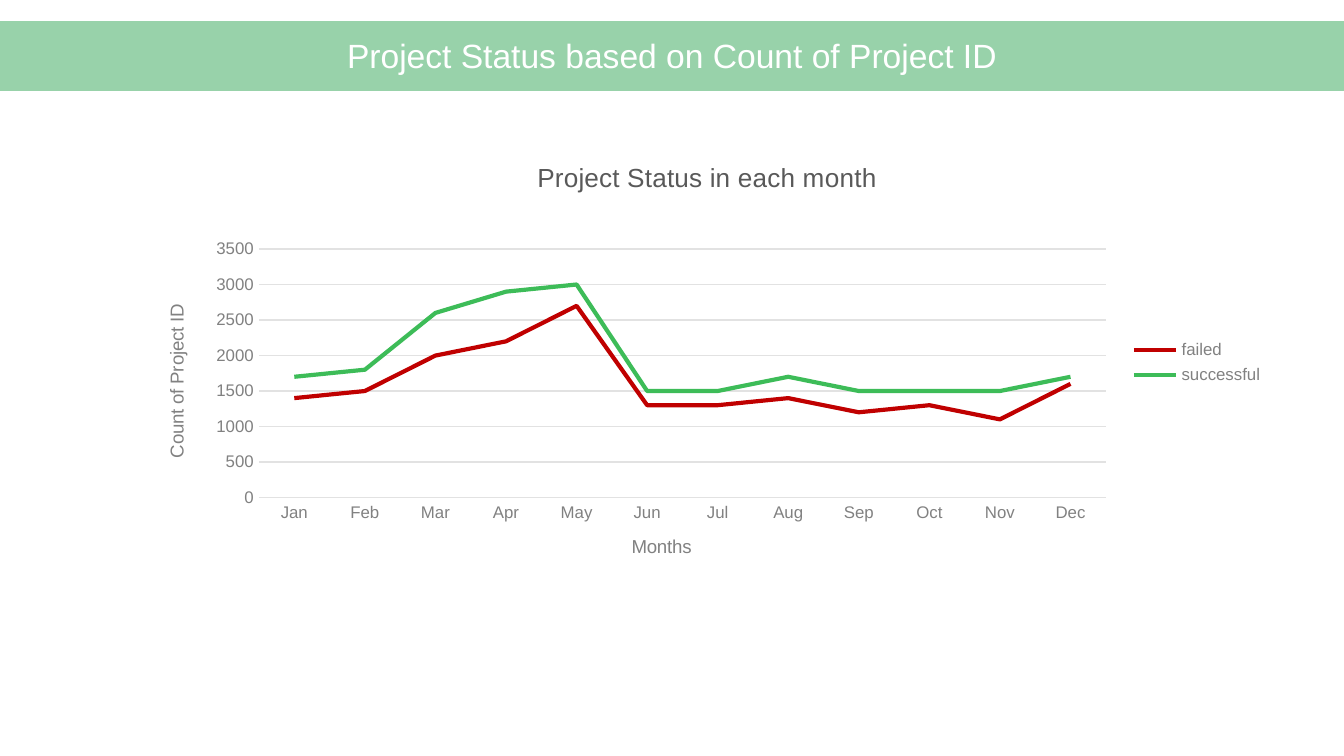
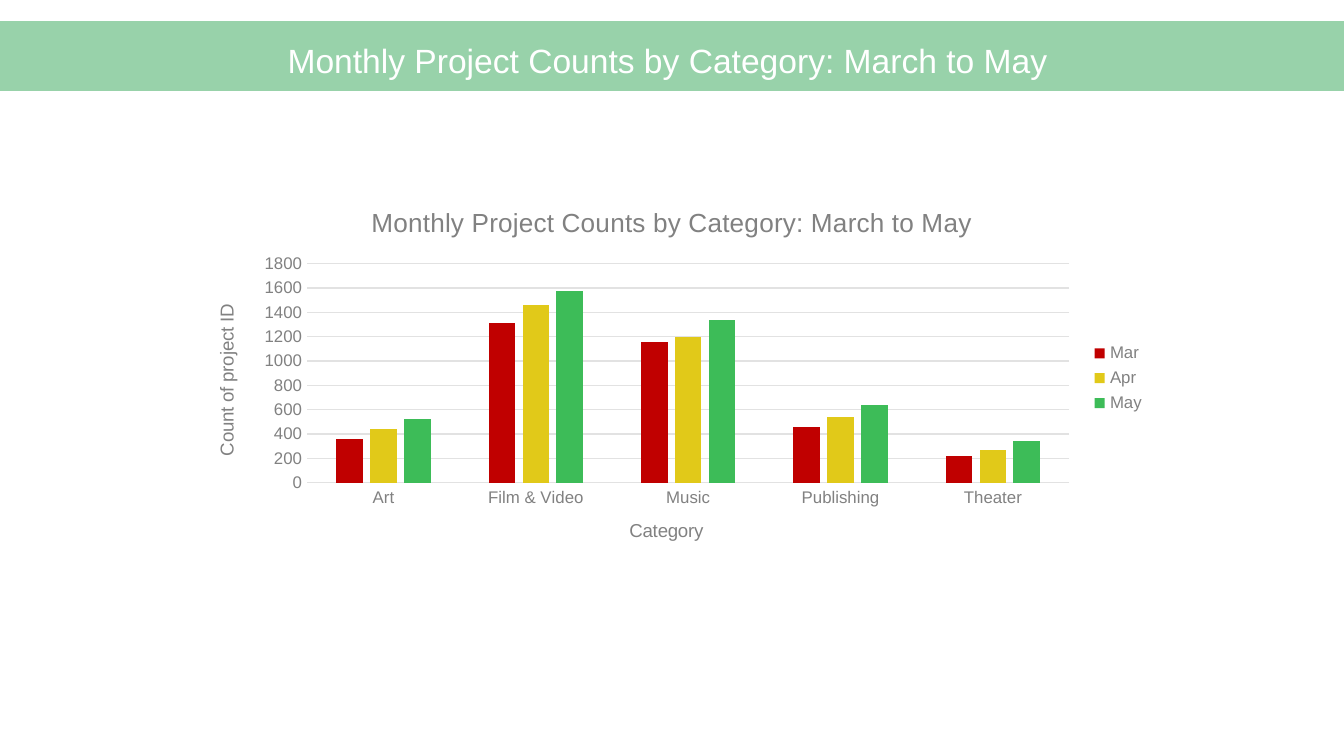
import pptx
import pptx.chart.data
import pptx.dml.color
import pptx.enum.chart
import pptx.enum.shapes
import pptx.enum.text
import pptx.oxml
import pptx.oxml.ns
import pptx.util

Inches, Pt = pptx.util.Inches, pptx.util.Pt
Align = pptx.enum.text.PP_ALIGN
ChartType = pptx.enum.chart.XL_CHART_TYPE
rgb = pptx.dml.color.RGBColor.from_string

# Theme: colours and type styles
RED, YELLOW, GREEN = rgb("C00000"), rgb("E1C919"), rgb("3DBC58")
THEME = {
    "band": rgb("98D2AA"),
    "grid": rgb("E2E2E2"),
    "heading": {"name": "Arial", "size": Pt(18), "bold": False, "color": rgb("FFFFFF")},
    "chart": {"name": "Arial", "size": Pt(10), "bold": False, "color": rgb("3D3D3D")},
    "chart_title": {"name": "Arial", "size": Pt(14), "bold": False, "color": rgb("818181")},
    "axis_title": {"name": "Arial", "size": Pt(10), "bold": False, "color": rgb("818181")},
    "label": {"name": "Arial", "size": Pt(9), "bold": False, "color": rgb("818181")},
}
DARK_TITLE = {**THEME["chart_title"], "color": rgb("595959")}

# Content: "places" holds percentages of the chart area
SLIDES = [
    {
        "heading": "Project Status based on Count of Project ID",
        "heading_box": (2.35, 0.21, 5.3, 0.4),
        "align": Align.CENTER,
        "type": ChartType.LINE,
        "chart_box": (1.02, 1.04, 8.48, 3.32),
        "title": "Project Status in each month",
        "title_style": DARK_TITLE,
        "axis_titles": ("Months", "Count of Project ID"),
        "scale": (3500, 500),
        "categories": ["Jan", "Feb", "Mar", "Apr", "May", "Jun",
                       "Jul", "Aug", "Sep", "Oct", "Nov", "Dec"],
        "series": [
            ("failed", RED, [1400, 1500, 2000, 2200, 2700, 1300,
                             1300, 1400, 1200, 1300, 1100, 1600]),
            ("successful", GREEN, [1700, 1800, 2600, 2900, 3000, 1500,
                                   1500, 1700, 1500, 1500, 1500, 1700]),
        ],
        "places": {"plot": (10.7, 24.5, 74.3, 55.7), "title": (34.7, 3.7),
                   "months": (43.1, 87.7), "count": (2.1, 36.1)},
    },
    {
        "heading": "Monthly Project Counts by Category: March to May",
        "heading_box": (2.04, 0.25, 5.92, 0.4),
        "align": Align.LEFT,
        "type": ChartType.COLUMN_CLUSTERED,
        "chart_box": (1.39, 1.39, 7.23, 2.85),
        "title": "Monthly Project Counts by Category: March to May",
        "title_style": THEME["chart_title"],
        "axis_titles": ("Category", "Count of project ID"),
        "scale": (1800, 200),
        "categories": ["Art", "Film & Video", "Music", "Publishing", "Theater"],
        "series": [
            ("Mar", RED, [360, 1310, 1160, 460, 220]),
            ("Apr", YELLOW, [440, 1460, 1200, 540, 270]),
            ("May", GREEN, [520, 1580, 1340, 640, 340]),
        ],
        "places": {"plot": (12.4, 20.1, 78.4, 57.2), "title": (18.5, 3.7),
                   "months": (45.2, 85.7), "count": (2.5, 29.8)},
    },
]


def apply_font(font, style):
    for key, value in style.items():
        if key == "color":
            font.color.rgb = value
        else:
            setattr(font, key, value)


def place(element, percentages):
    """Give a chart title or plot area a manual layout."""
    qn = pptx.oxml.ns.qn
    for old in element.findall(qn("c:layout")):
        element.remove(old)
    is_plot = len(percentages) == 4
    values = '<c:layoutTarget val="inner"/>' if is_plot else ""
    values += '<c:xMode val="edge"/><c:yMode val="edge"/>'
    for key, value in zip("xywh", percentages):
        values += f'<c:{key} val="{value / 100:.3f}"/>'
    layout = pptx.oxml.parse_xml(
        f'<c:layout {pptx.oxml.ns.nsdecls("c")}><c:manualLayout>{values}</c:manualLayout></c:layout>')
    element.insert(0 if is_plot else 1, layout)


# Widescreen deck, 16:9
deck = pptx.Presentation()
deck.slide_width = Inches(10)
deck.slide_height = deck.slide_width * 9 // 16

for content in SLIDES:
    slide = deck.slides.add_slide(deck.slide_layouts[5])
    places = content["places"]

    # Chart data
    counts = pptx.chart.data.CategoryChartData()
    counts.categories = content["categories"]
    for name, color, values in content["series"]:
        counts.add_series(name, values)
    chart = slide.shapes.add_chart(
        content["type"], *map(Inches, content["chart_box"]), counts).chart
    apply_font(chart.font, THEME["chart"])

    # Legend
    chart.has_legend = True
    chart.legend.position = pptx.enum.chart.XL_LEGEND_POSITION.RIGHT
    chart.legend.include_in_layout = False
    apply_font(chart.legend.font, THEME["label"])

    # Axes
    months, count = chart.category_axis, chart.value_axis
    for axis in (months, count):
        axis.major_tick_mark = axis.minor_tick_mark = pptx.enum.chart.XL_TICK_MARK.NONE
        apply_font(axis.tick_labels.font, THEME["label"])
    count.minimum_scale = 0
    count.maximum_scale, count.major_unit = content["scale"]
    count.has_major_gridlines = True
    count.format.line.fill.background()
    for rule in (months.format.line, count.major_gridlines.format.line):
        rule.color.rgb = THEME["grid"]
        rule.width = Pt(0.75)

    # Chart and axis titles
    titles = [
        (chart.chart_title, content["title"], content["title_style"], places["title"]),
        (months.axis_title, content["axis_titles"][0], THEME["axis_title"], places["months"]),
        (count.axis_title, content["axis_titles"][1], THEME["axis_title"], places["count"]),
    ]
    for title, text, style, percentages in titles:
        title.text_frame.text = text
        apply_font(title.text_frame.paragraphs[0].runs[0].font, style)
        place(title._element, percentages)
    place(chart._chartSpace.chart.plotArea, places["plot"])

    # Series
    plot = chart.plots[0]
    plot.vary_by_categories = False
    is_line = content["type"] == ChartType.LINE
    if not is_line:
        plot.gap_width, plot.overlap = 219, -27
    for series, (name, color, values) in zip(plot.series, content["series"]):
        if is_line:
            series.smooth = False
            series.format.line.color.rgb = color
            series.format.line.width = Pt(2.25)
        else:
            series.format.fill.solid()
            series.format.fill.fore_color.rgb = color

    # Band
    band = slide.shapes.add_shape(
        pptx.enum.shapes.MSO_SHAPE.RECTANGLE,
        Inches(-0.29), Inches(0.17), Inches(10.58), Inches(0.49))
    band.shadow.inherit = False
    band.fill.solid()
    band.fill.fore_color.rgb = band.line.color.rgb = THEME["band"]
    band.line.width = Pt(2)

    # Heading, brought in front of the band
    heading = slide.shapes.title
    band._element.addnext(heading._element)
    for side, length in zip(("left", "top", "width", "height"), content["heading_box"]):
        setattr(heading, side, Inches(length))
    frame_format = {
        "text": content["heading"],
        "word_wrap": True,
        "auto_size": pptx.enum.text.MSO_AUTO_SIZE.NONE,
        "vertical_anchor": pptx.enum.text.MSO_ANCHOR.TOP,
    }
    for key, value in frame_format.items():
        setattr(heading.text_frame, key, value)
    heading_line = heading.text_frame.paragraphs[0]
    heading_line.alignment = content["align"]
    apply_font(heading_line.runs[0].font, THEME["heading"])

deck.save("out.pptx")
